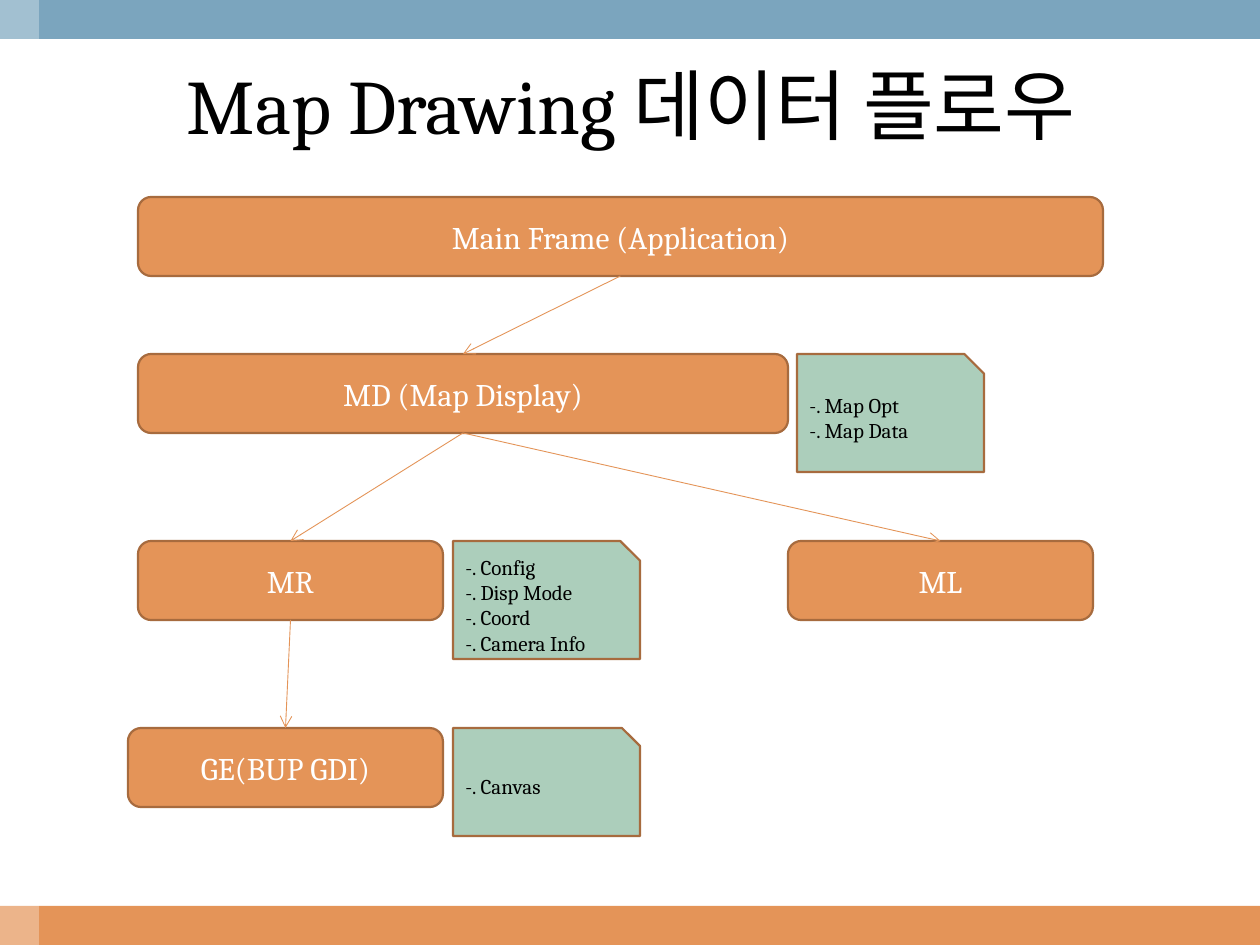
from dataclasses import dataclass

from lxml.etree import SubElement
from pptx import Presentation
from pptx.dml.color import RGBColor
from pptx.enum.shapes import MSO_CONNECTOR, MSO_SHAPE as SHAPE
from pptx.enum.text import MSO_ANCHOR as ANCHOR, PP_ALIGN as ALIGN
from pptx.oxml.ns import qn
from pptx.util import Emu, Pt

EMU_PER_PX = 914400 / 126
SLIDE_W, SLIDE_H = 1260, 945
BAR = 39
BOX_H = 79
TOP, BOTTOM = 0, 2  # connection sites


@dataclass(frozen=True)
class Theme:
    font: str = "Cambria"
    orange: str = "E49458"
    blue: str = "7BA5BE"
    green: str = "ACCEBB"
    outline: str = "A76B3E"
    white: str = "FFFFFF"
    black: str = "000000"
    title_pt: int = 44
    box_pt: int = 18
    note_pt: int = 12
    outline_pt: float = 1.25
    arrow_pt: float = 0.5


@dataclass(frozen=True)
class Box:
    text: str
    x: int
    y: int
    w: int


@dataclass(frozen=True)
class Note:
    text: str
    x: int
    y: int
    h: int
    w: int = 187


THEME = Theme()

BOXES = {
    "md": Box("MD (Map Display)", 138, 354, 650),
    "main": Box("Main Frame (Application)", 138, 197, 965),
    "mr": Box("MR", 138, 541, 305),
    "ge": Box("GE(BUP GDI)", 128, 728, 315),
    "ml": Box("ML", 788, 541, 305),
}
FLOWS = [("main", "md"), ("md", "mr"), ("mr", "ge"), ("md", "ml")]
NOTES = [
    Note("-. Config\n-. Disp Mode\n-. Coord\n-. Camera Info", 453, 541, 118),
    Note("-. Canvas", 453, 728, 108),
    Note("-. Map Opt\n-. Map Data", 797, 354, 118),
]


def px(n: int) -> Emu:
    return Emu(round(n * EMU_PER_PX))


def rgb(color: str) -> RGBColor:
    return RGBColor.from_string(color)


def write(sp, text: str, size: int, color: str, align: ALIGN) -> None:
    tf = sp.text_frame
    tf.word_wrap = True
    tf.vertical_anchor = ANCHOR.MIDDLE
    tf.text = text
    for p in tf.paragraphs:
        p.alignment = align
        for r in p.runs:
            r.font.name = THEME.font
            r.font.size = Pt(size)
            r.font.color.rgb = rgb(color)


def add_shape(slide, kind: SHAPE, x: int, y: int, w: int, h: int, fill: str):
    sp = slide.shapes.add_shape(kind, px(x), px(y), px(w), px(h))
    sp.shadow.inherit = False
    sp.fill.solid()
    sp.fill.fore_color.rgb = rgb(fill)
    sp.line.fill.background()
    return sp


def add_outlined(slide, kind: SHAPE, x: int, y: int, w: int, h: int, fill: str):
    sp = add_shape(slide, kind, x, y, w, h, fill)
    sp.line.color.rgb = rgb(THEME.outline)
    sp.line.width = Pt(THEME.outline_pt)
    return sp


def add_box(slide, box: Box):
    sp = add_outlined(slide, SHAPE.ROUNDED_RECTANGLE,
                      box.x, box.y, box.w, BOX_H, THEME.orange)
    write(sp, box.text, THEME.box_pt, THEME.white, ALIGN.CENTER)
    return sp


def add_note(slide, note: Note) -> None:
    sp = add_outlined(slide, SHAPE.SNIP_1_RECTANGLE,
                      note.x, note.y, note.w, note.h, THEME.green)
    write(sp, note.text, THEME.note_pt, THEME.black, ALIGN.LEFT)


def add_flow(slide, start, end) -> None:
    line = slide.shapes.add_connector(MSO_CONNECTOR.STRAIGHT, 0, 0, 0, 0)
    line.begin_connect(start, BOTTOM)
    line.end_connect(end, TOP)
    line.line.color.rgb = rgb(THEME.orange)
    line.line.width = Pt(THEME.arrow_pt)
    SubElement(line.line._get_or_add_ln(), qn("a:tailEnd"), type="arrow")
    SubElement(line._element.spPr, qn("a:effectLst"))


def add_frame(slide) -> None:
    add_shape(slide, SHAPE.RECTANGLE, 0, SLIDE_H - BAR, SLIDE_W, BAR, THEME.orange)
    add_shape(slide, SHAPE.RECTANGLE, 0, 0, SLIDE_W, BAR, THEME.blue)
    strip = add_shape(slide, SHAPE.RECTANGLE, 0, 0, BAR, SLIDE_H, THEME.white)
    color = strip._element.spPr.find(qn("a:solidFill")).find(qn("a:srgbClr"))
    SubElement(color, qn("a:alpha"), val="30000")


def main() -> None:
    prs = Presentation()
    prs.slide_width, prs.slide_height = px(SLIDE_W), px(SLIDE_H)
    slide = prs.slides.add_slide(prs.slide_layouts[6])

    # Coloured bars and title
    add_frame(slide)
    title = slide.shapes.add_textbox(px(42), px(39), px(1179), px(130))
    write(title, "Map Drawing 데이터 플로우", THEME.title_pt, THEME.black, ALIGN.CENTER)

    # Modules and the flows between them
    modules = {key: add_box(slide, box) for key, box in BOXES.items()}
    for start, end in FLOWS:
        add_flow(slide, modules[start], modules[end])

    # Data held by the modules
    for note in NOTES:
        add_note(slide, note)

    prs.save("out.pptx")


if __name__ == "__main__":
    main()
